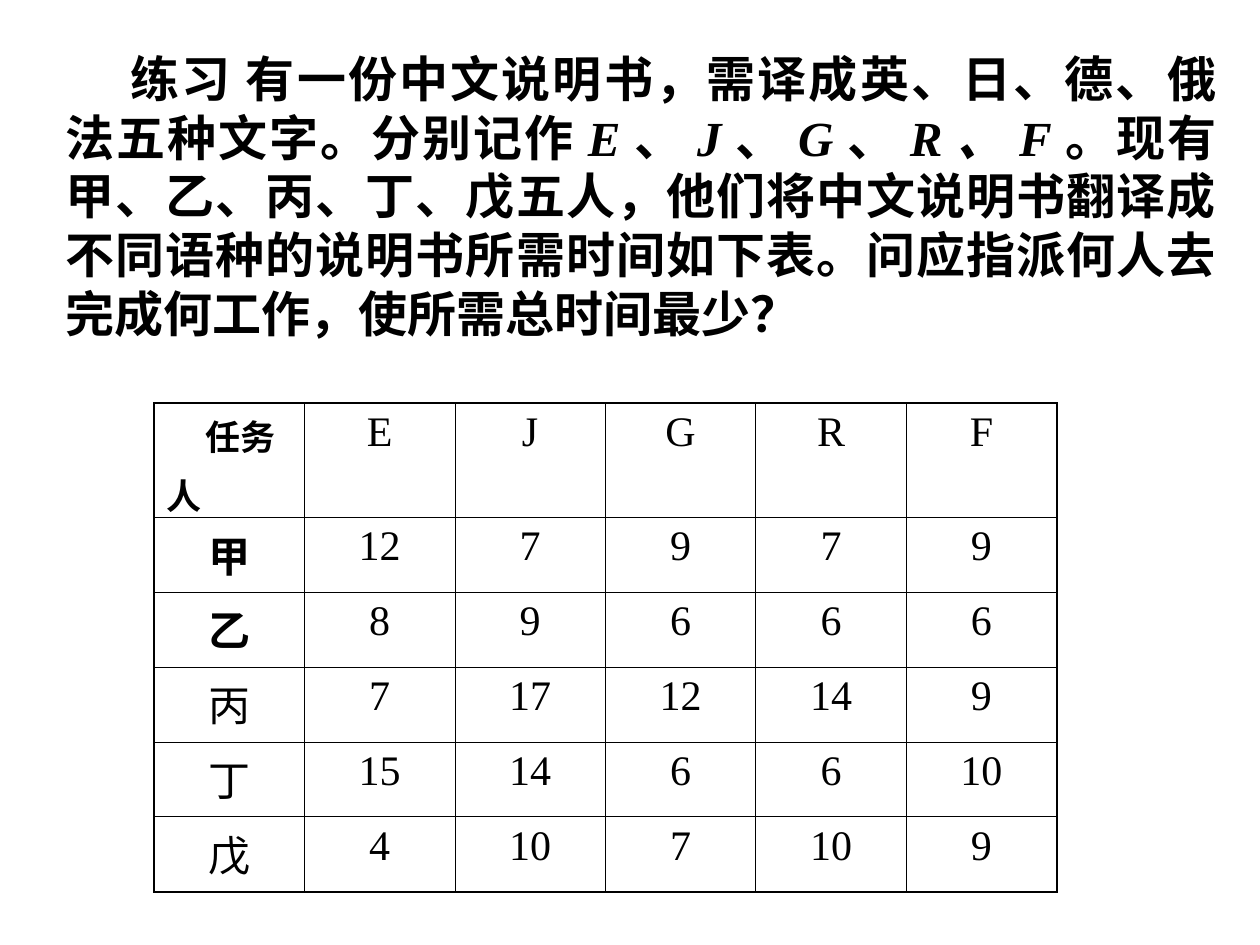
from lxml.etree import SubElement
from pptx import Presentation
from pptx.dml.color import RGBColor
from pptx.enum.text import MSO_AUTO_SIZE, PP_ALIGN
from pptx.oxml.ns import qn
from pptx.util import Emu, Pt

EMU_PER_PX = 914400 / 126
FONT = "Times New Roman"
COLORS = {"ink": "000000", "paper": "FFFFFF"}
THIN, THICK = 0.45, 1.08

# Question text as (words, italic)
QUESTION = [
    ("练习 有一份中文说明书，需译成英、日、德、俄法五种文字。分别记作", False),
    ("E", True), ("、", False),
    ("J", True), ("、", False),
    ("G", True), ("、", False),
    ("R、F", True),
    ("。现有甲、乙、丙、丁、戊五人，他们将中文说明书翻译成不同语种的说明书"
     "所需时间如下表。问应指派何人去完成何工作，使所需总时间最少？", False),
]

LANGUAGES = ["E", "J", "G", "R", "F"]
HOURS = {
    "甲": [12, 7, 9, 7, 9],
    "乙": [8, 9, 6, 6, 6],
    "丙": [7, 17, 12, 14, 9],
    "丁": [15, 14, 6, 6, 10],
    "戊": [4, 10, 7, 10, 9],
}
BOLD_PEOPLE = {"甲", "乙"}


def px(length):
    return Emu(round(length * EMU_PER_PX))


def add_span(para, text, size, bold=False, italic=False):
    span = para.add_run()
    span.text = text
    font = span.font
    font.name, font.size = FONT, Pt(size)
    font.bold, font.italic = bold, italic
    font.color.rgb = RGBColor.from_string(COLORS["ink"])


def format_para(para, align, before, indent=0):
    para.alignment = align
    para.space_before = Pt(before)
    if indent:
        properties = para._p.get_or_add_pPr()
        properties.set("marL", "0")
        properties.set("indent", str(Pt(indent)))


def add_question(page):
    box = page.shapes.add_textbox(px(53), px(42), px(1176), px(307))
    frame = box.text_frame
    frame.word_wrap = True
    frame.auto_size = MSO_AUTO_SIZE.SHAPE_TO_FIT_TEXT
    para = frame.paragraphs[0]
    format_para(para, PP_ALIGN.JUSTIFY, 17.5, indent=37)
    for text, italic in QUESTION:
        add_span(para, text, 28, bold=True, italic=italic)


def style_cell(cell, outer_sides):
    """Draw thick lines on the outer sides, thin ones elsewhere."""
    properties = cell._tc.get_or_add_tcPr()
    for side in ("L", "R", "T", "B"):
        width = THICK if side in outer_sides else THIN
        line = SubElement(properties, qn(f"a:ln{side}"), w=str(Pt(width)))
        fill = SubElement(line, qn("a:solidFill"))
        SubElement(fill, qn("a:srgbClr"), val=COLORS["ink"])
    cell.fill.solid()
    cell.fill.fore_color.rgb = RGBColor.from_string(COLORS["paper"])


def fill_corner(cell):
    task = cell.text_frame.paragraphs[0]
    person = cell.text_frame.add_paragraph()
    for para, text, indent in ((task, "任务", 22), (person, "人", 0)):
        format_para(para, PP_ALIGN.LEFT, 5, indent)
        add_span(para, text, 20, bold=True)


def fill_cell(cell, text):
    para = cell.text_frame.paragraphs[0]
    format_para(para, PP_ALIGN.CENTER, 6)
    add_span(para, text, 24, bold=text in BOLD_PEOPLE)


def add_hours_table(page):
    rows = [["", *LANGUAGES]]
    rows += [[person, *hours] for person, hours in HOURS.items()]
    row_count, column_count = len(rows), len(rows[0])
    table = page.shapes.add_table(row_count, column_count, px(154), px(403),
                                  px(903), px(488)).table
    table.first_row = table.horz_banding = False
    for r, values in enumerate(rows):
        table.rows[r].height = px(75 if r else 114)
        for c, value in enumerate(values):
            cell = table.cell(r, c)
            edges = {"L": c == 0, "R": c == column_count - 1,
                     "T": r == 0, "B": r == row_count - 1}
            style_cell(cell, {side for side, outer in edges.items() if outer})
            if r == c == 0:
                fill_corner(cell)
            else:
                fill_cell(cell, str(value))


def main():
    deck = Presentation()
    deck.slide_width, deck.slide_height = px(1260), px(945)
    page = deck.slides.add_slide(deck.slide_layouts[6])
    add_question(page)
    add_hours_table(page)
    deck.save("out.pptx")


if __name__ == "__main__":
    main()
